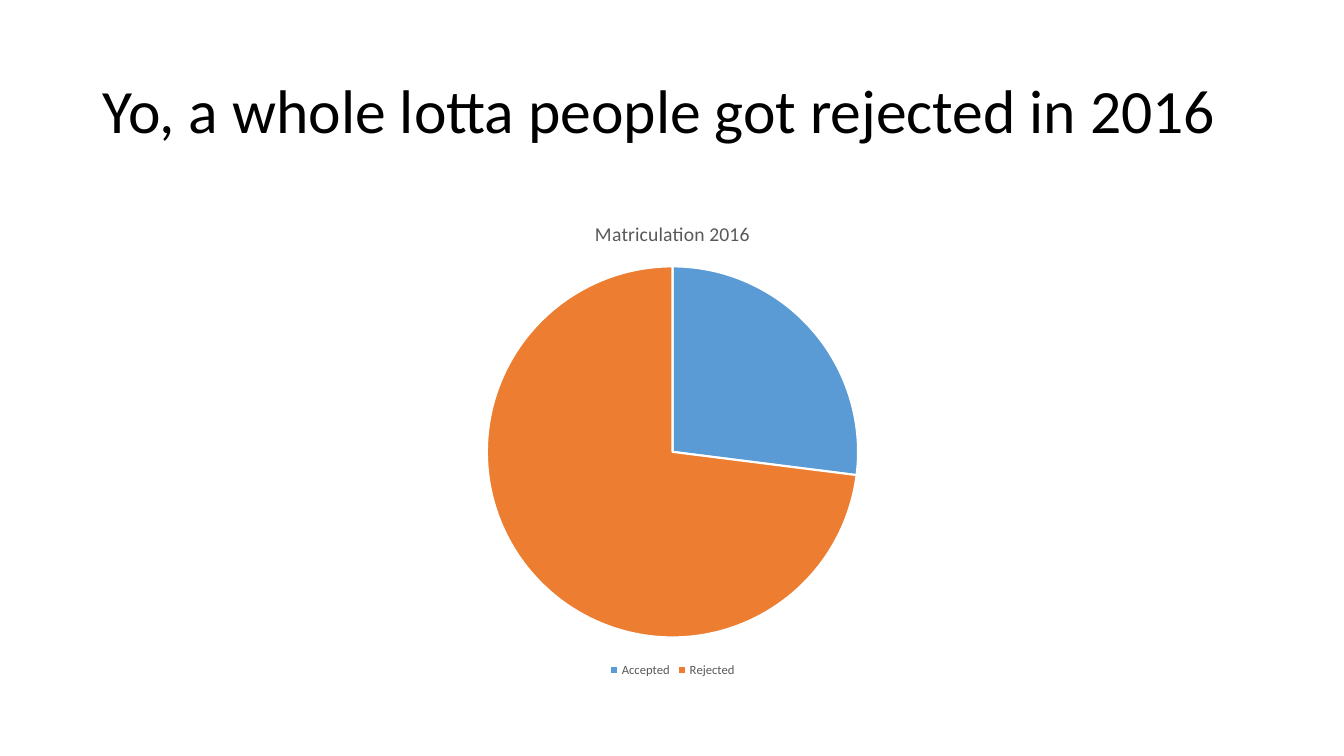
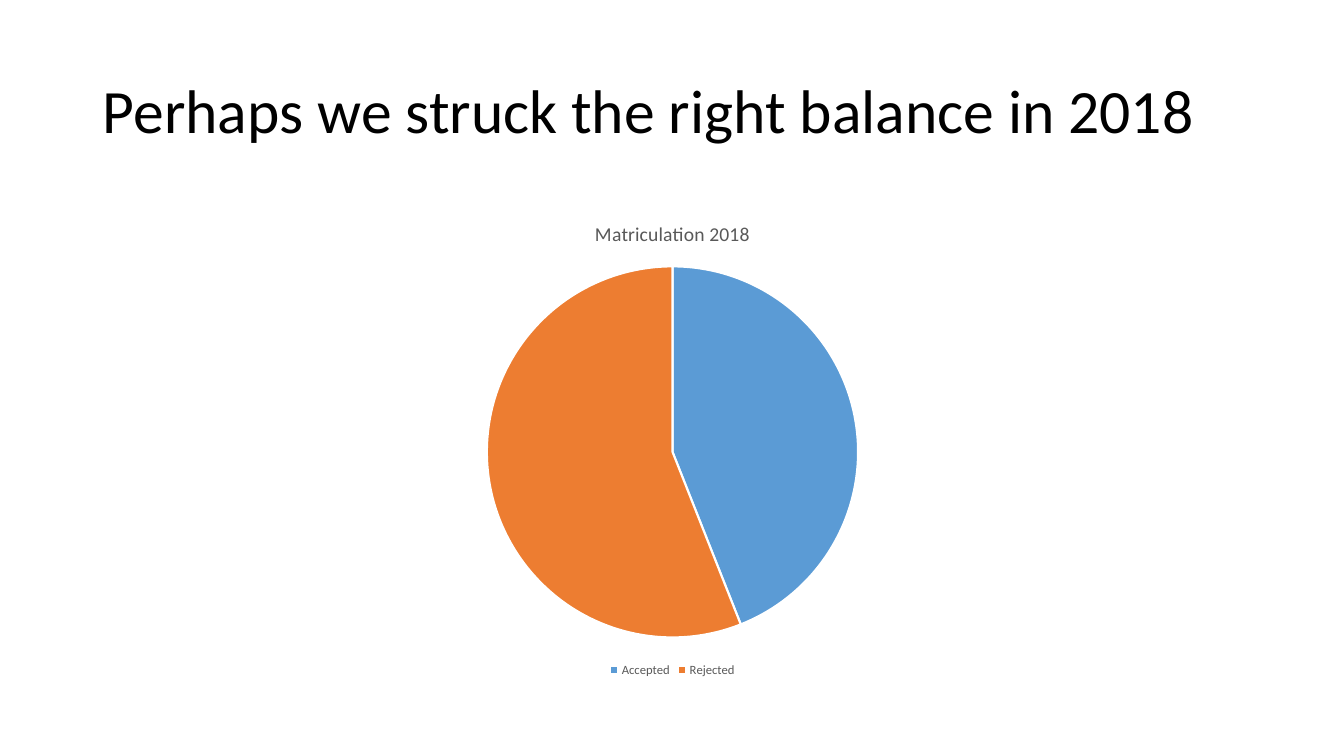
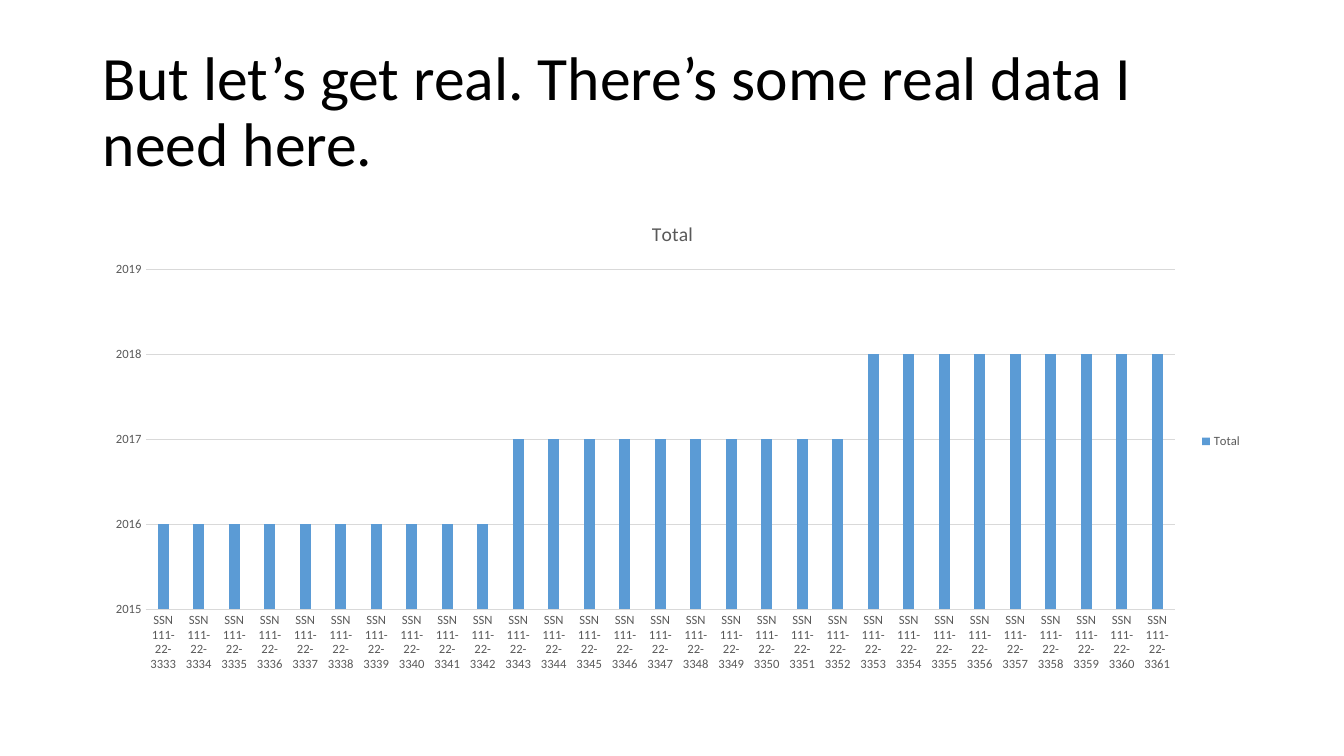
"""Build three matriculation slides, each a title above one chart."""
import pptx
import pptx.chart.data
import pptx.dml.color
import pptx.enum.chart
import pptx.enum.text
import pptx.util

Inches = pptx.util.Inches
Pt = pptx.util.Pt
RGBColor = pptx.dml.color.RGBColor
ChartType = pptx.enum.chart.XL_CHART_TYPE
LegendPosition = pptx.enum.chart.XL_LEGEND_POSITION

FONT = "Calibri"
BLACK = RGBColor(0x00, 0x00, 0x00)
WHITE = RGBColor(0xFF, 0xFF, 0xFF)
GRAY = RGBColor(0x59, 0x59, 0x59)
LIGHT_GRAY = RGBColor(0xD9, 0xD9, 0xD9)
BLUE = RGBColor(0x5B, 0x9B, 0xD5)
ORANGE = RGBColor(0xED, 0x7D, 0x31)

LEFT, WIDTH = Inches(0.92), Inches(11.5)
TITLE_TOP, TITLE_HEIGHT = Inches(0.4), Inches(1.45)
CHART_TOP, CHART_HEIGHT = Inches(2), Inches(4.76)

OUTCOMES = {"Accepted": BLUE, "Rejected": ORANGE}
PIES = [
    ("Yo, a whole lotta people got rejected in 2016", "Matriculation 2016", (27, 73)),
    ("Perhaps we struck the right balance in 2018", "Matriculation 2018", (44, 56)),
]
COLUMN_TITLE = "But let’s get real. There’s some real data I need here."
COLUMN_NAME = "Total"
FIRST_NUMBER = 3333
YEARS = [2016] * 10 + [2017] * 10 + [2018] * 9


def style_font(font, size, color):
    """Apply the shared typeface with a size and colour."""
    font.name = FONT
    font.size = Pt(size)
    font.bold = False
    font.color.rgb = color


def add_chart_slide(presentation, title, chart_type, chart_title, series_name,
                    categories, values, legend_position):
    """Add a titled slide and return its styled chart."""
    slide = presentation.slides.add_slide(presentation.slide_layouts[5])
    heading = slide.shapes.title
    heading.left, heading.top = LEFT, TITLE_TOP
    heading.width, heading.height = WIDTH, TITLE_HEIGHT
    frame = heading.text_frame
    frame.text = title
    frame.word_wrap = True
    frame.auto_size = pptx.enum.text.MSO_AUTO_SIZE.NONE
    frame.vertical_anchor = pptx.enum.text.MSO_ANCHOR.MIDDLE
    paragraph = frame.paragraphs[0]
    paragraph.alignment = pptx.enum.text.PP_ALIGN.LEFT
    paragraph.line_spacing = 0.9
    style_font(paragraph.runs[0].font, 44, BLACK)

    data = pptx.chart.data.CategoryChartData()
    data.categories = categories
    data.add_series(series_name, values)
    chart = slide.shapes.add_chart(
        chart_type, LEFT, CHART_TOP, WIDTH, CHART_HEIGHT, data).chart
    style_font(chart.font, 10, BLACK)
    chart.has_title = True
    chart.chart_title.include_in_layout = False
    chart.chart_title.text_frame.text = chart_title
    style_font(chart.chart_title.text_frame.paragraphs[0].runs[0].font, 14, GRAY)
    chart.has_legend = True
    chart.legend.position = legend_position
    chart.legend.include_in_layout = False
    style_font(chart.legend.font, 9, GRAY)
    return chart


def add_pie_slide(presentation, title, chart_title, values):
    """Add a pie of accepted and rejected shares."""
    chart = add_chart_slide(presentation, title, ChartType.PIE, chart_title, "Series 1",
                            list(OUTCOMES), values, LegendPosition.BOTTOM)
    plot = chart.plots[0]
    plot.vary_by_categories = True
    for index, color in enumerate(OUTCOMES.values()):
        slice_format = plot.series[0].points[index].format
        slice_format.fill.solid()
        slice_format.fill.fore_color.rgb = color
        slice_format.line.color.rgb = WHITE
        slice_format.line.width = Pt(1.5)


def add_column_slide(presentation):
    """Add the column chart of years by number."""
    categories = [f"SSN 111-22-{FIRST_NUMBER + index}" for index in range(len(YEARS))]
    chart = add_chart_slide(presentation, COLUMN_TITLE, ChartType.COLUMN_CLUSTERED,
                            COLUMN_NAME, COLUMN_NAME, categories, YEARS,
                            LegendPosition.RIGHT)
    plot = chart.plots[0]
    plot.vary_by_categories = False
    plot.gap_width = 219
    plot.overlap = -27
    fill = plot.series[0].format.fill
    fill.solid()
    fill.fore_color.rgb = BLUE

    category_axis, value_axis = chart.category_axis, chart.value_axis
    for axis in (category_axis, value_axis):
        axis.major_tick_mark = pptx.enum.chart.XL_TICK_MARK.NONE
        axis.minor_tick_mark = pptx.enum.chart.XL_TICK_MARK.NONE
        style_font(axis.tick_labels.font, 9, GRAY)
    for body in category_axis._element.xpath("c:txPr/a:bodyPr"):
        body.set("rot", "-60000000")
        body.set("vert", "horz")
    value_axis.minimum_scale = 2015
    value_axis.maximum_scale = 2019
    value_axis.major_unit = 1
    value_axis.has_major_gridlines = True
    value_axis.format.line.fill.background()
    for line in (category_axis.format.line, value_axis.major_gridlines.format.line):
        line.color.rgb = LIGHT_GRAY
        line.width = Pt(0.75)


def main():
    """Create and save the presentation."""
    presentation = pptx.Presentation()
    presentation.slide_width = Inches(13.33)
    presentation.slide_height = Inches(7.5)
    for title, chart_title, values in PIES:
        add_pie_slide(presentation, title, chart_title, values)
    add_column_slide(presentation)
    presentation.save("out.pptx")


if __name__ == "__main__":
    main()
